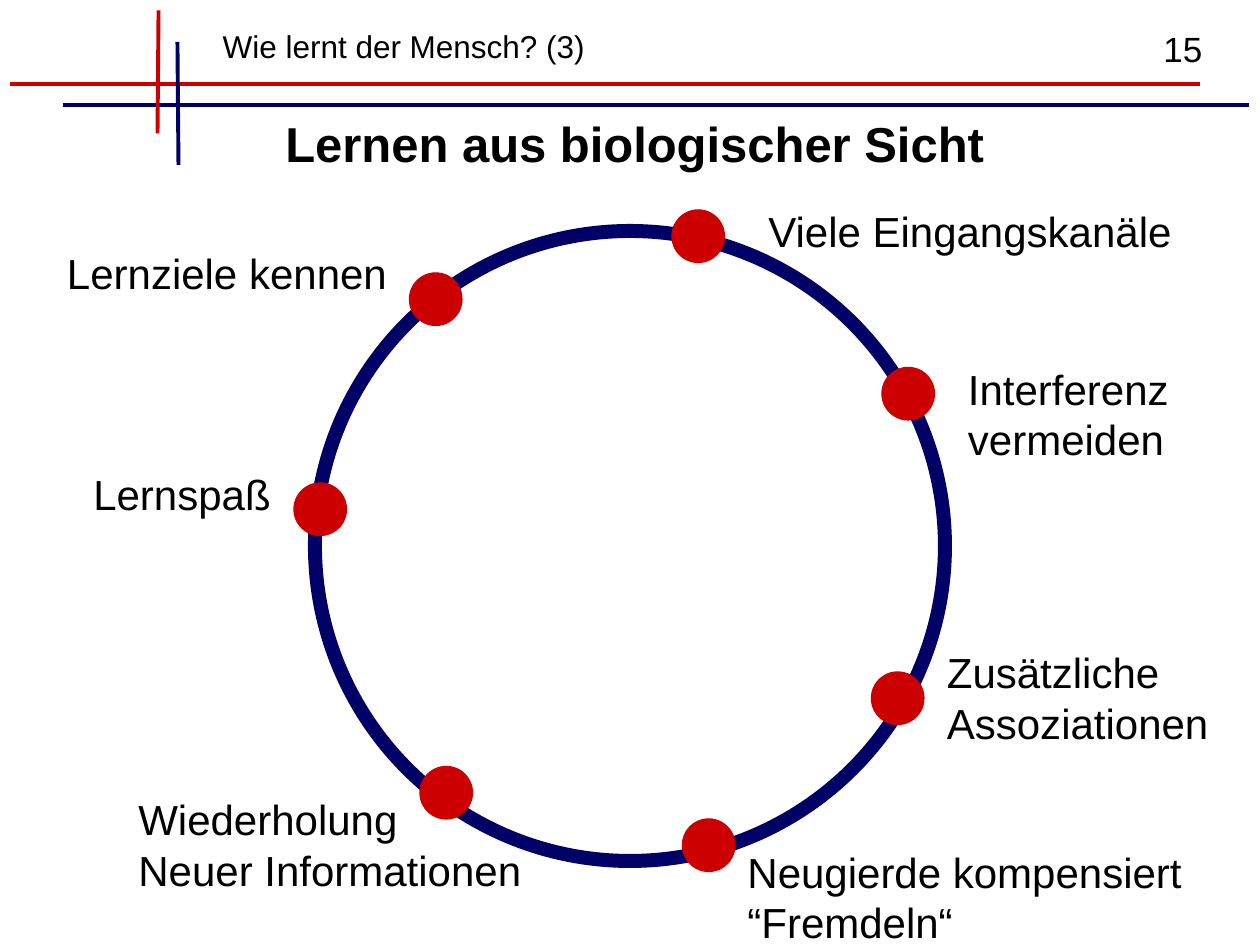
from dataclasses import dataclass

import pptx
import pptx.dml.color
import pptx.enum.shapes
import pptx.enum.text
import pptx.oxml.ns
import pptx.util
from lxml import etree

COLORS = {"red": "CC0000", "navy": "000066", "white": "FFFFFF", "black": "000000"}
FONT = "Arial"
COLS, ROWS = 120, 90  # square grid cells, twelve to the inch
DOT = 5  # dot diameter in cells

prs = pptx.Presentation()
prs.slide_width = pptx.util.Inches(10)
prs.slide_height = pptx.util.Inches(7.5)


@dataclass
class Rule:
    x1: float
    y1: float
    x2: float
    y2: float
    color: str


@dataclass
class Label:
    text: str
    col: float
    row: float
    width: float
    height: float = 6
    size: int = 24
    bold: bool = False
    right: bool = False
    wrap: bool = False


@dataclass
class Disc:
    col: float
    row: float
    size: float
    fill: str
    line: str
    weight: float


def x(cols: float) -> int:
    return round(prs.slide_width * cols / COLS)


def y(rows: float) -> int:
    return round(prs.slide_height * rows / ROWS)


def rgb(name: str) -> pptx.dml.color.RGBColor:
    return pptx.dml.color.RGBColor.from_string(COLORS[name])


def draw_rule(s, rule: Rule) -> None:
    c = s.shapes.add_connector(pptx.enum.shapes.MSO_CONNECTOR.STRAIGHT,
                               x(rule.x1), y(rule.y1), x(rule.x2), y(rule.y2))
    c.line.color.rgb = rgb(rule.color)
    c.line.width = pptx.util.Pt(2.25)
    etree.SubElement(c._element.spPr, pptx.oxml.ns.qn("a:effectLst"))


def write_label(sp, label: Label) -> None:
    sp.left, sp.top = x(label.col), y(label.row)
    sp.width, sp.height = x(label.width), y(label.height)
    tf = sp.text_frame
    tf.text = label.text
    tf.word_wrap = label.wrap
    tf.auto_size = pptx.enum.text.MSO_AUTO_SIZE.NONE
    tf.vertical_anchor = pptx.enum.text.MSO_ANCHOR.TOP
    align = pptx.enum.text.PP_ALIGN
    for p in tf.paragraphs:
        p.alignment = align.RIGHT if label.right else align.LEFT
        for r in p.runs:
            r.font.name = FONT
            r.font.size = pptx.util.Pt(label.size)
            r.font.bold = label.bold
            r.font.color.rgb = rgb("black")


def draw_label(s, label: Label) -> None:
    write_label(s.shapes.add_textbox(0, 0, 0, 0), label)


def draw_disc(s, disc: Disc) -> None:
    sp = s.shapes.add_shape(pptx.enum.shapes.MSO_SHAPE.OVAL, x(disc.col), y(disc.row),
                            x(disc.size), y(disc.size))
    sp.shadow.inherit = False
    sp.fill.solid()
    sp.fill.fore_color.rgb = rgb(disc.fill)
    sp.line.color.rgb = rgb(disc.line)
    sp.line.width = pptx.util.Pt(disc.weight)


TITLE = Label("Wie lernt der Mensch? (3)", 20, 2, 73, 4.7, size=18, wrap=True)

RULES = [
    Rule(1, 8, 114.3, 8, "red"),
    Rule(6, 10, 119, 10, "navy"),
    Rule(15.1, 1, 15, 12.7, "red"),
    Rule(16.9, 4, 17, 15.7, "navy"),
]

LABELS = [
    Label("15", 101, 2, 14.7, 3.7, size=20, right=True, wrap=True),
    Label("Lernen aus biologischer Sicht", 26, 10.2, 68.9, 6.8, size=28, bold=True),
    Label("Lernziele kennen", 5.2, 23, 32.9),
    Label("Lernspaß", 7.7, 44, 19.3),
    Label("Viele Eingangskanäle", 72, 19, 40.8),
    Label("Neugierde kompensiert\n“Fremdeln“", 70, 80, 46, 10.8, wrap=True),
    Label("Wiederholung\nNeuer Informationen", 12, 75, 38.9, 10.8),
    Label("Zusätzliche\nAssoziationen", 89, 61, 27.2, 10.8),
    Label("Interferenz\nvermeiden", 91, 34, 21.5, 10.8),
]

RING = Disc(30, 22, 60, "white", "navy", 8)
DOTS = [(65, 78), (40, 73), (28, 46), (84, 35), (64, 20), (39, 26), (83, 64)]


def main() -> None:
    s = prs.slides.add_slide(prs.slide_layouts[5])

    # Header: title and crossing rules
    write_label(s.shapes.title, TITLE)
    for rule in RULES:
        draw_rule(s, rule)

    # Page number, heading and labels
    for label in LABELS:
        draw_label(s, label)

    # Ring with its dots
    draw_disc(s, RING)
    for col, row in DOTS:
        draw_disc(s, Disc(col, row, DOT, "red", "red", 0.75))

    prs.save("out.pptx")


if __name__ == "__main__":
    main()
